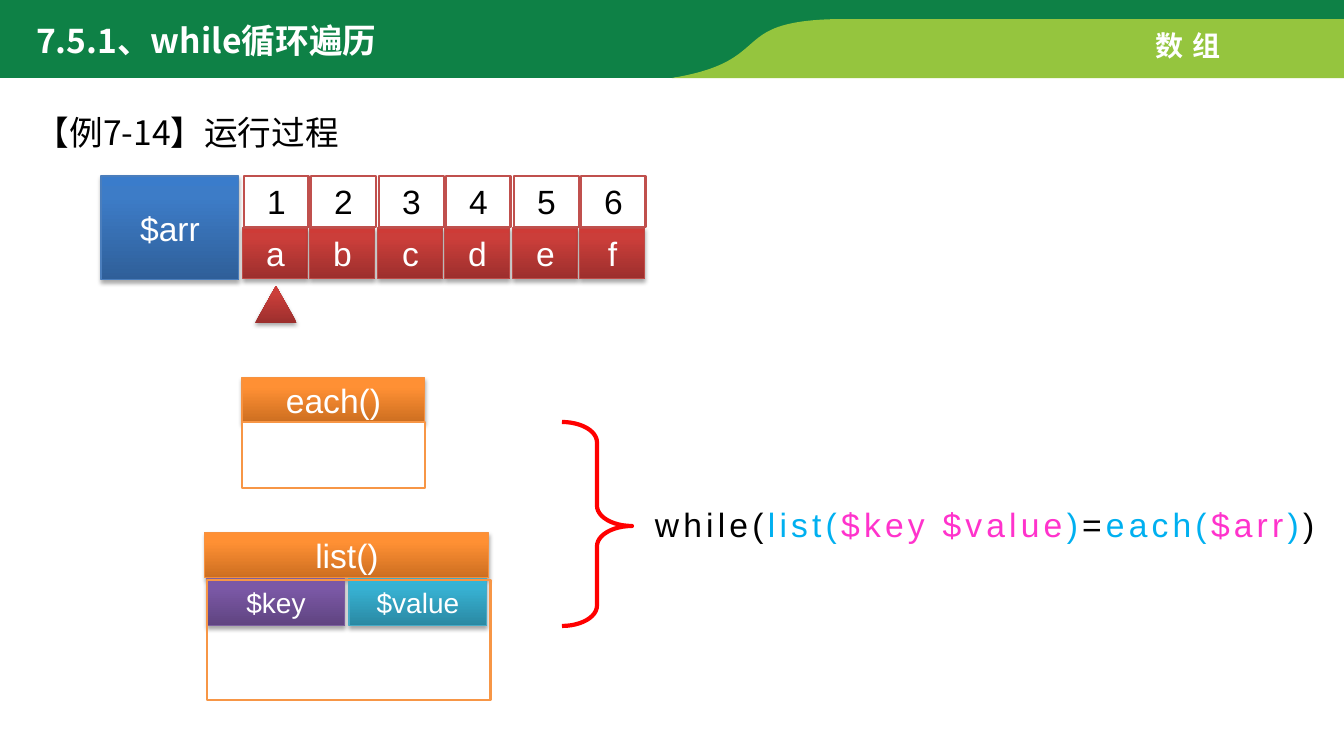
from copy import deepcopy

from lxml import etree
from pptx import Presentation
from pptx import util as u
from pptx.dml.color import RGBColor
from pptx.enum import shapes, text
from pptx.oxml.ns import qn

PX = 12192000 / 1344
CJK = "Noto Sans CJK SC"

WHITE = RGBColor(0xFF, 0xFF, 0xFF)
BLACK = RGBColor(0x00, 0x00, 0x00)
GREEN = RGBColor(0x0E, 0x81, 0x46)
LIME = RGBColor(0x95, 0xC5, 0x3E)
CRIMSON = RGBColor(0xC0, 0x50, 0x4D)
AMBER = RGBColor(0xF7, 0x96, 0x46)
RED = RGBColor(0xFF, 0x00, 0x00)
CYAN = RGBColor(0x00, 0xB0, 0xF0)
PINK = RGBColor(0xFF, 0x33, 0xCC)

BLUE_SHADES = [RGBColor(0x2F, 0x5F, 0x99), RGBColor(0x3D, 0x7C, 0xC7), RGBColor(0x3A, 0x7C, 0xCB)]
RED_SHADES = [RGBColor(0x9C, 0x2F, 0x2D), RGBColor(0xCB, 0x3E, 0x3A), RGBColor(0xCE, 0x3B, 0x37)]
ORANGE_SHADES = [RGBColor(0xCC, 0x6E, 0x20), RGBColor(0xFF, 0x90, 0x34), RGBColor(0xFF, 0x91, 0x36)]
PURPLE_SHADES = [RGBColor(0x5F, 0x44, 0x80), RGBColor(0x7B, 0x58, 0xA6), RGBColor(0x7C, 0x57, 0xA8)]
TEAL_SHADES = [RGBColor(0x2A, 0x88, 0xA2), RGBColor(0x37, 0xB1, 0xD2), RGBColor(0x34, 0xB4, 0xD6)]

BLUE_LINE = RGBColor(0x4B, 0x7E, 0xBC)
RED_LINE = RGBColor(0xBF, 0x4C, 0x48)
ORANGE_LINE = RGBColor(0xF6, 0x92, 0x40)
PURPLE_LINE = RGBColor(0x7D, 0x60, 0xA0)
TEAL_LINE = RGBColor(0x46, 0xAA, 0xC5)


def write(box, words, size=24, color=WHITE, font="Arial", bold=False, spacing=0,
          align=text.PP_ALIGN.LEFT, anchor=text.MSO_ANCHOR.TOP, wrap=True):
    frame = box.text_frame
    frame.word_wrap = wrap
    frame.auto_size = text.MSO_AUTO_SIZE.NONE
    frame.vertical_anchor = anchor
    para = frame.paragraphs[0]
    para.alignment = align
    span = para.add_run()
    span.text = words
    span.font.size = u.Pt(size)
    span.font.bold = bold
    span.font.name = font
    span.font.color.rgb = color
    marks = span.font._element
    etree.SubElement(marks, qn("a:ea"), typeface=CJK)
    if spacing:
        marks.set("spc", str(spacing * 100))


def draw(kind, place, shades=None, fill=None, line=None, width=0.75):
    box = page.shapes.add_shape(kind, *[round(value * PX) for value in place])
    box.shadow.inherit = False
    if shades:
        box.fill.gradient()
        box.fill.gradient_angle = 90
        stops = box.element.spPr.find(".//" + qn("a:gsLst"))
        stops.append(deepcopy(stops[-1]))
        for stop, position, shade in zip(box.fill.gradient_stops, (0, 0.8, 1), shades):
            stop.position = position
            stop.color.rgb = shade
        effects = box.element.spPr.find(qn("a:effectLst"))
        shadow = etree.SubElement(effects, qn("a:outerShdw"), blurRad="40000",
                                  dist="23000", dir="5400000", rotWithShape="0")
        tone = etree.SubElement(shadow, qn("a:srgbClr"), val="000000")
        etree.SubElement(tone, qn("a:alpha"), val="35000")
    elif fill is not None:
        box.fill.solid()
        box.fill.fore_color.rgb = fill
    else:
        box.fill.background()
    if line is not None:
        box.line.color.rgb = line
        box.line.width = u.Pt(width)
    else:
        box.line.fill.background()
    return box


deck = Presentation()
deck.slide_width = round(1344 * PX)
deck.slide_height = round(756 * PX)
page = deck.slides.add_slide(deck.slide_layouts[5])

bands = [
    (GREEN, [(0, -3), (1344, -3), (1344, 24), (834, 24), (815, 28),
             (733, 44, 776, 78, 660, 78), (0, 78)]),
    (LIME, [(846, 19), (1344, 19), (1344, 78), (672, 78),
            (780, 60, 723, 19, 846, 19)]),
]
for color, steps in bands:
    points = []
    for step in steps:
        if len(step) == 2:
            points.append(step)
            continue
        x0, y0 = points[-1]
        x1, y1, x2, y2, x3, y3 = step
        for index in range(1, 41):
            t = index / 40
            s = 1 - t
            points.append((s**3 * x0 + 3 * s * s * t * x1 + 3 * s * t * t * x2 + t**3 * x3,
                           s**3 * y0 + 3 * s * s * t * y1 + 3 * s * t * t * y2 + t**3 * y3))
    points = [(round(x * PX), round(y * PX)) for x, y in points]
    outline = page.shapes.build_freeform(*points[0])
    outline.add_line_segments(points[1:], close=True)
    band = outline.convert_to_shape()
    band.shadow.inherit = False
    band.fill.solid()
    band.fill.fore_color.rgb = color
    band.line.fill.background()

title = page.shapes.title
page.shapes.element.append(title.element)
title.left, title.top, title.width, title.height = [round(value * PX) for value in (26, 15, 512, 50)]
write(title, "7.5.1、while循环遍历", font=CJK, bold=True)

chapter, example, loop = [
    page.shapes.add_textbox(*[round(value * PX) for value in place])
    for place in [(1146, 24, 94, 44), (26, 86, 351, 72), (645, 499, 688, 50)]
]
write(chapter, "数组", size=20, bold=True, spacing=6, wrap=False)
write(example, "【例7-14】运行过程", font=CJK, color=BLACK, anchor=text.MSO_ANCHOR.MIDDLE)
example.text_frame.paragraphs[0].line_spacing = 1.5
for words, color in [("while(", BLACK), ("list(", CYAN), ("$key", PINK), (",", WHITE),
                     ("$value", PINK), (")", CYAN), ("=", BLACK), ("each(", CYAN),
                     ("$arr", PINK), (")", CYAN), (")", BLACK)]:
    write(loop, words, color=color, spacing=3, wrap=False)

RECT = shapes.MSO_SHAPE.RECTANGLE
CENTRED = dict(align=text.PP_ALIGN.CENTER, anchor=text.MSO_ANCHOR.MIDDLE)

labels = [
    ("$arr", (101, 176, 138, 104), BLUE_SHADES, BLUE_LINE, 24),
    ("each()", (242, 378, 183, 45), ORANGE_SHADES, ORANGE_LINE, 24),
    ("list()", (205, 533, 284, 45), ORANGE_SHADES, ORANGE_LINE, 24),
    ("$key", (207, 579, 138, 47), PURPLE_SHADES, PURPLE_LINE, 20),
    ("$value", (349, 579, 138, 47), TEAL_SHADES, TEAL_LINE, 20),
]
for words, place, shades, line, size in labels:
    write(draw(RECT, place, shades=shades, line=line), words, size=size, **CENTRED)

draw(RECT, (242, 422, 183, 66), fill=WHITE, line=AMBER, width=2)
draw(RECT, (207, 580, 284, 120), line=AMBER, width=2)

for index, letter in enumerate("abcdef"):
    left = 243 + index * 135 // 2
    value = draw(RECT, (left, 228, 65, 51), shades=RED_SHADES, line=RED_LINE)
    write(value, letter, **CENTRED)
    key = draw(RECT, (left + 1, 176, 65, 51), fill=WHITE, line=CRIMSON, width=2)
    write(key, str(index + 1), color=BLACK, **CENTRED)

draw(shapes.MSO_SHAPE.ISOSCELES_TRIANGLE, (255, 286, 42, 37), shades=RED_SHADES)
brace = draw(shapes.MSO_SHAPE.RIGHT_BRACE, (562, 422, 70, 204), line=RED, width=3)
brace.adjustments[0] = 0.29
brace.adjustments[1] = 0.51

deck.save("out.pptx")
